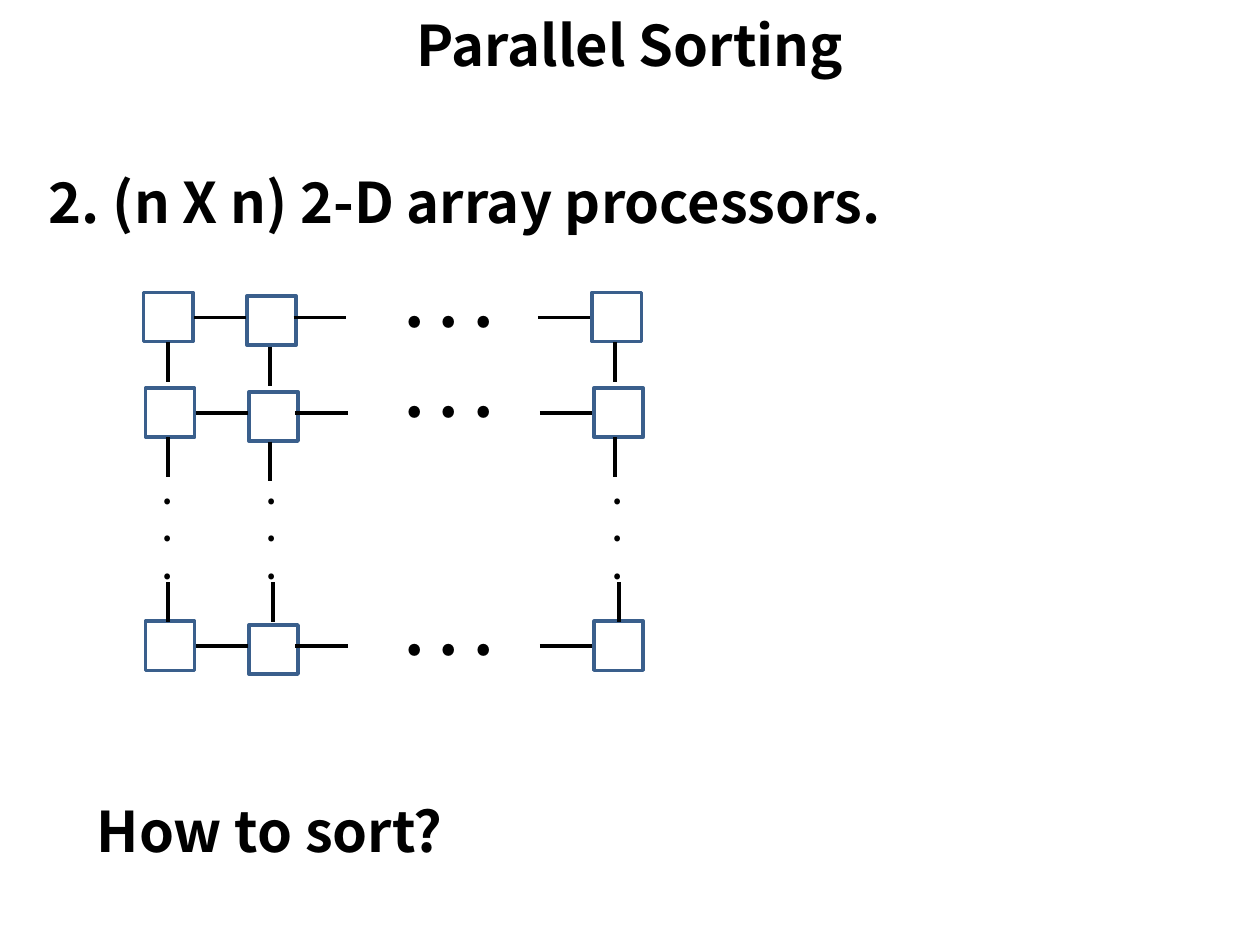
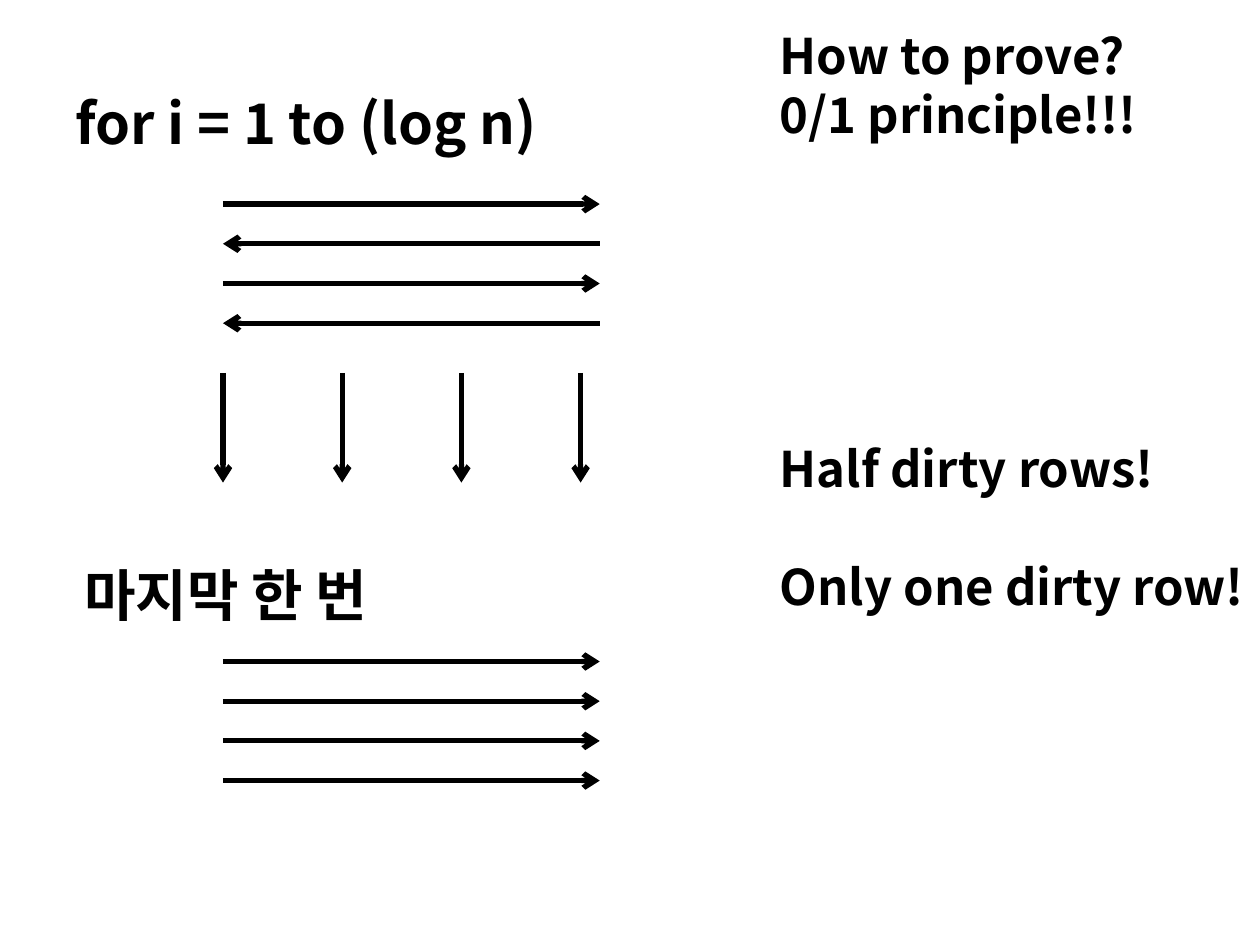
from lxml.etree import SubElement
from pptx import Presentation
from pptx.dml.color import RGBColor
from pptx.enum.shapes import MSO_CONNECTOR as Connector, MSO_SHAPE as Shape
from pptx.enum.text import MSO_ANCHOR as Anchor, PP_ALIGN as Align
from pptx.oxml.ns import qn
from pptx.util import Inches, Pt

COLORS = {"ink": "000000", "box": "3A5F8C"}
FONT = "Noto Sans CJK KR"
COLS, ROWS = 100, 75          # the slide's grid
LEADING = 1.204               # line height per font size
BODY_SIZE, BODY_GAP = 32, 6.4
NUDGE = 0.3                   # rows added above the first line


class Deck:
    """Shared style and the current slide; lengths are grid columns and rows."""

    def __init__(self):
        self.prs = Presentation()
        self.prs.slide_width, self.prs.slide_height = Inches(10), Inches(7.5)
        self.s = None

    def new_slide(self):
        self.s = self.prs.slides.add_slide(self.prs.slide_layouts[6])

    def x(self, cols):
        return round(self.prs.slide_width * cols / COLS)

    def y(self, rows):
        return round(self.prs.slide_height * rows / ROWS)

    def text(self, left, top, width, height, lines, size, gap=0, skip=0, wrap=False):
        """Lines are (text, skipped lines before, indent in columns, alignment)."""
        sp = self.s.shapes.add_textbox(self.x(left), self.y(top), self.x(width), self.y(height))
        pitch = size * LEADING + gap
        tf = sp.text_frame
        tf.word_wrap = wrap
        tf.vertical_anchor = Anchor.TOP
        tf.margin_top = self.y(0.5 + NUDGE) + Pt(skip * pitch)
        for i, (words, skipped, indent, align) in enumerate(lines):
            p = tf.add_paragraph() if i else tf.paragraphs[0]
            p.add_run().text = words
            p.alignment = align
            p.line_spacing = Pt(size * LEADING)
            p.space_before = Pt(gap + skipped * pitch if i else 0)
            p.font.size, p.font.bold, p.font.name = Pt(size), True, FONT
            p.font.color.rgb = RGBColor.from_string(COLORS["ink"])
            pPr = p._p.get_or_add_pPr()
            pPr.set("marL", str(self.x(indent)))
            pPr.set("indent", "0")
            SubElement(pPr.find(qn("a:defRPr")), qn("a:ea"), typeface=FONT)

    def body(self, lines, skip=0):
        self.text(0, 0, COLS, ROWS, lines, BODY_SIZE, BODY_GAP, skip, wrap=True)

    def square(self, left, top, side):
        sp = self.s.shapes.add_shape(Shape.RECTANGLE, self.x(left), self.y(top),
                                     self.x(side), self.y(side))
        sp.shadow.inherit = False
        sp.fill.background()
        sp.line.color.rgb = RGBColor.from_string(COLORS["box"])
        sp.line.width = Pt(2)

    def line(self, x1, y1, x2, y2, weight=2.25, arrow=False):
        sp = self.s.shapes.add_connector(Connector.STRAIGHT, self.x(x1), self.y(y1),
                                         self.x(x2), self.y(y2))
        sp.line.color.rgb = RGBColor.from_string(COLORS["ink"])
        sp.line.width = Pt(weight)
        if arrow:
            SubElement(sp.line._get_or_add_ln(), qn("a:tailEnd"), type="arrow")
        SubElement(sp._element.spPr, qn("a:effectLst"))

    def arrow(self, x1, y1, x2, y2):
        self.line(x1, y1, x2, y2, weight=3, arrow=True)


deck = Deck()

# Slide 1: the processor array
deck.new_slide()
deck.body([("Parallel Sorting", 0, 0, Align.CENTER),
           ("2. (n X n) 2-D array processors.", 1, 2.9, Align.LEFT),
           ("How to sort?", 7, 6.7, Align.LEFT)])

SIDE, LINK_W, LINK_H = 3.9, 4.15, 3.15
# Rows: top, shift to the right, top of the dots
for top, shift, dots_top in [(23.2, 0, 20.2), (30.8, 0.15, 27.3), (49.3, 0.15, 46.2)]:
    for left, drop in [(11.4, 0), (19.6, 0.3), (47, 0)]:
        deck.square(left + shift, top + drop, SIDE)
    for left in (15.4, 23.3, 42.7):
        deck.line(left + shift, top + 2, left + shift + LINK_W, top + 2)
    deck.text(31.1, dots_top, 9.5, 7.1, [(". . .", 0, 0, Align.LEFT)], 36)

# Columns: upper link x, lower link x, drop of the upper links, left of the dots
for upper, lower, drop, dots_left in [(13.3, 13.3, 0, 11.9), (21.4, 21.7, 0.35, 20.2),
                                      (48.8, 49.1, 0, 47.6)]:
    for x, top in [(upper, 27.15 + drop), (upper, 34.7 + drop), (lower, 46.2)]:
        deck.line(x, top, x, top + LINK_H)
    deck.text(dots_left, 36.7, 2.7, 10.1, [(".", 0, 0, Align.LEFT)] * 3, 18)

# Slide 2: the sorting rounds
deck.new_slide()
deck.body([("for i = 1 to (log n)", 0, 5, Align.LEFT),
           ("마지막 한 번", 5, 5.7, Align.LEFT)], skip=1)

LEFT, RIGHT, STEP = 17.7, 47.6, 3.15
for i in range(4):
    # Rows sorted in alternating directions
    start, end = (RIGHT, LEFT) if i % 2 else (LEFT, RIGHT)
    deck.arrow(start, 16.2 + i * STEP, end, 16.2 + i * STEP)
    # Columns sorted downwards
    x = LEFT + i * 9.46
    deck.arrow(x, 29.6, x, 38.3)
    # Last pass, all rows in one direction
    deck.arrow(LEFT, 52.5 + i * STEP, RIGHT, 52.5 + i * STEP)

# Proof notes
deck.text(60.9, 1.2, 38.9, 48.1,
          [("How to prove?", 0, 0, Align.LEFT), ("0/1 principle!!!", 0, 0, Align.LEFT),
           ("Half dirty rows!", 5, 0, Align.LEFT), ("Only one dirty row!", 1, 0, Align.LEFT)], 28)

deck.prs.save("out.pptx")
